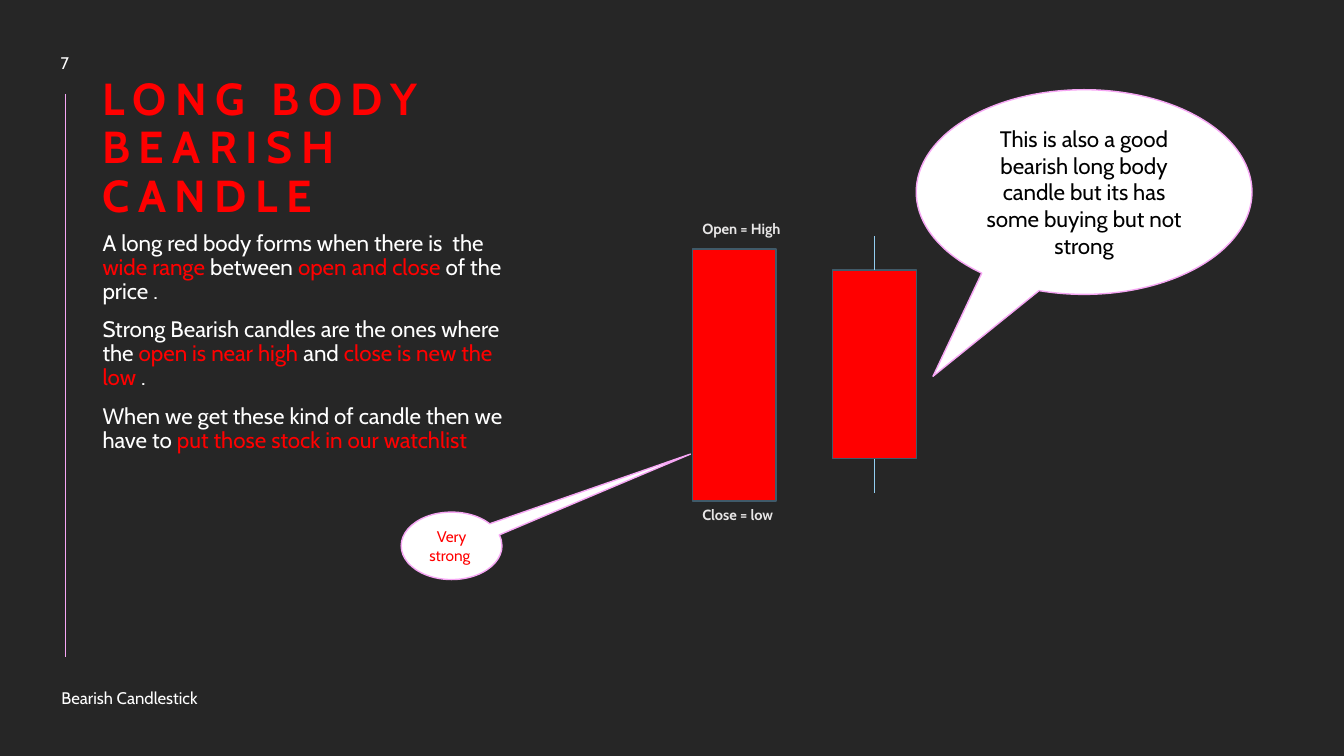
import pptx
import pptx.util
import pptx.dml.color
import pptx.enum.shapes
import pptx.enum.text
from dataclasses import dataclass
from lxml import etree

Pt = pptx.util.Pt
Anchor = pptx.enum.text.MSO_ANCHOR
Align = pptx.enum.text.PP_ALIGN
Shape = pptx.enum.shapes.MSO_SHAPE
DRAWING_NS = "{http://schemas.openxmlformats.org/drawingml/2006/main}"


@dataclass(frozen=True)
class Theme:
    font: str = "Cabin"
    background: str = "262626"
    red: str = "FF0000"
    white: str = "FFFFFF"
    black: str = "000000"
    label: str = "E7E6E6"
    pink: str = "F6A6F4"
    candle_edge: str = "405A69"
    wick: str = "92CDF0"
    title_size: float = 32
    body_size: float = 16
    footer_size: float = 12
    remark_size: float = 11
    label_size: float = 10.5
    letter_spacing: int = 600  # hundredths of a point
    line_spacing: float = 0.9
    space_before: float = 10
    outline: float = 1
    hairline: float = 0.5


THEME = Theme()

# Content: each paragraph is a list of (text, color) runs
TITLE = [[("LONG BODY BEARISH CANDLE", THEME.red)]]
BODY = [
    [("A long red body forms when there is  the ", THEME.white),
     ("wide range ", THEME.red), ("between ", THEME.white),
     ("open and close ", THEME.red), ("of the price .", THEME.white)],
    [("Strong Bearish candles are the ones where the ", THEME.white),
     ("open is near high ", THEME.red), ("and ", THEME.white),
     ("close is new the low ", THEME.red), (".", THEME.white)],
    [("When we get these kind of candle then we have to ", THEME.white),
     ("put those stock in our watchlist", THEME.red)],
]
FOOTER = [[("Bearish Candlestick", THEME.white)]]
PAGE_NUMBER = [[("7", THEME.white)]]
# Candles: left, top, body height, wick length, label above, label below
CANDLES = [
    (494.6, 177.8, 180, 0, "Open = High", "Close = low"),
    (594.7, 193, 134.6, 24.4, None, None),
]
# Callouts: box, tail tip relative to the center, text, color, size
CALLOUTS = [
    ((654.5, 64.1, 239.8, 146.2), (-0.45, 0.9),
     "This is also a good bearish long body candle but its has "
     "some buying but not strong", THEME.black, THEME.body_size),
    ((286.6, 365.8, 72, 48.2), (2.37, -1.36),
     "Very strong ", THEME.red, THEME.remark_size),
]

# Layout, in points
SLIDE_SIZE = (960, 540)
COLUMN_LEFT, COLUMN_WIDTH = 66.2, 309.6
TITLE_TOP, BODY_TOP, BODY_BOTTOM = 36, 162, 462.2
RULE_X, RULE_TOP, RULE_BOTTOM = 46.8, 67, 469.4
FOOTER_BOX = (36.7, 487.4, 183.6, 21.6)
PAGE_NUMBER_BOX = (25.9, 32.4, 41, 24.5)
CANDLE_WIDTH = 59.8
LABEL_WIDTH, LABEL_HEIGHT, LABEL_RISE = 77, 20.2, 24.4


def rgb(color):
    return pptx.dml.color.RGBColor.from_string(color)


def write(frame, paragraphs, size, anchor=Anchor.TOP, align=Align.LEFT,
          bold=False, letter_spacing=None, line_spacing=None, space_before=None):
    frame.word_wrap = True
    frame.vertical_anchor = anchor
    for index, runs in enumerate(paragraphs):
        paragraph = frame.paragraphs[0] if index == 0 else frame.add_paragraph()
        paragraph.alignment = align
        if line_spacing:
            paragraph.line_spacing = line_spacing
        if space_before:
            paragraph.space_before = Pt(space_before)
        for text, color in runs:
            run = paragraph.add_run()
            run.text = text
            run.font.name = THEME.font
            run.font.size = Pt(size)
            run.font.bold = bold
            run.font.color.rgb = rgb(color)
            if letter_spacing:
                run.font._element.set("spc", str(letter_spacing))


def add_text(slide, box, paragraphs, size, **style):
    textbox = slide.shapes.add_textbox(*map(Pt, box))
    write(textbox.text_frame, paragraphs, size, **style)


def add_block(slide, kind, box, fill, edge):
    block = slide.shapes.add_shape(kind, *map(Pt, box))
    block.shadow.inherit = False
    block.fill.solid()
    block.fill.fore_color.rgb = rgb(fill)
    block.line.color.rgb = rgb(edge)
    block.line.width = Pt(THEME.outline)
    return block


def add_line(slide, x, start_y, end_y, color):
    line = slide.shapes.add_connector(
        pptx.enum.shapes.MSO_CONNECTOR.STRAIGHT, Pt(x), Pt(start_y), Pt(x), Pt(end_y))
    line.line.color.rgb = rgb(color)
    line.line.width = Pt(THEME.hairline)
    etree.SubElement(line._element.spPr, DRAWING_NS + "effectLst")
    return line


def add_candle(slide, left, top, height, wick, above, below):
    bottom = top + height
    candle = add_block(slide, Shape.RECTANGLE, (left, top, CANDLE_WIDTH, height),
                       THEME.red, THEME.candle_edge)
    if wick:
        center = left + CANDLE_WIDTH / 2
        for side, start, end in ((0, top, top - wick), (2, bottom, bottom + wick)):
            add_line(slide, center, start, end, THEME.wick).begin_connect(candle, side)
    for label, label_top in ((above, top - LABEL_RISE), (below, bottom)):
        if label:
            add_text(slide, (left, label_top, LABEL_WIDTH, LABEL_HEIGHT),
                     [[(label, THEME.label)]], THEME.label_size, bold=True)


def main():
    deck = pptx.Presentation()
    deck.slide_width, deck.slide_height = map(Pt, SLIDE_SIZE)
    slide = deck.slides.add_slide(deck.slide_layouts[6])
    slide.background.fill.solid()
    slide.background.fill.fore_color.rgb = rgb(THEME.background)

    # Text column with its rule
    add_line(slide, RULE_X, RULE_TOP, RULE_BOTTOM, THEME.pink)
    add_text(slide, (COLUMN_LEFT, TITLE_TOP, COLUMN_WIDTH, BODY_TOP - TITLE_TOP),
             TITLE, THEME.title_size, anchor=Anchor.BOTTOM, bold=True,
             letter_spacing=THEME.letter_spacing, line_spacing=THEME.line_spacing)
    add_text(slide, (COLUMN_LEFT, BODY_TOP, COLUMN_WIDTH, BODY_BOTTOM - BODY_TOP),
             BODY, THEME.body_size, line_spacing=THEME.line_spacing,
             space_before=THEME.space_before)

    # Footer and page number
    add_text(slide, FOOTER_BOX, FOOTER, THEME.footer_size, anchor=Anchor.MIDDLE)
    add_text(slide, PAGE_NUMBER_BOX, PAGE_NUMBER, THEME.footer_size,
             anchor=Anchor.MIDDLE, align=Align.CENTER)

    # Candles
    for candle in CANDLES:
        add_candle(slide, *candle)

    # Callouts
    for box, tail, text, color, size in CALLOUTS:
        callout = add_block(slide, Shape.OVAL_CALLOUT, box, THEME.white, THEME.pink)
        callout.adjustments[0], callout.adjustments[1] = tail
        write(callout.text_frame, [[(text, color)]], size,
              anchor=Anchor.MIDDLE, align=Align.CENTER)

    deck.save("out.pptx")


if __name__ == "__main__":
    main()
